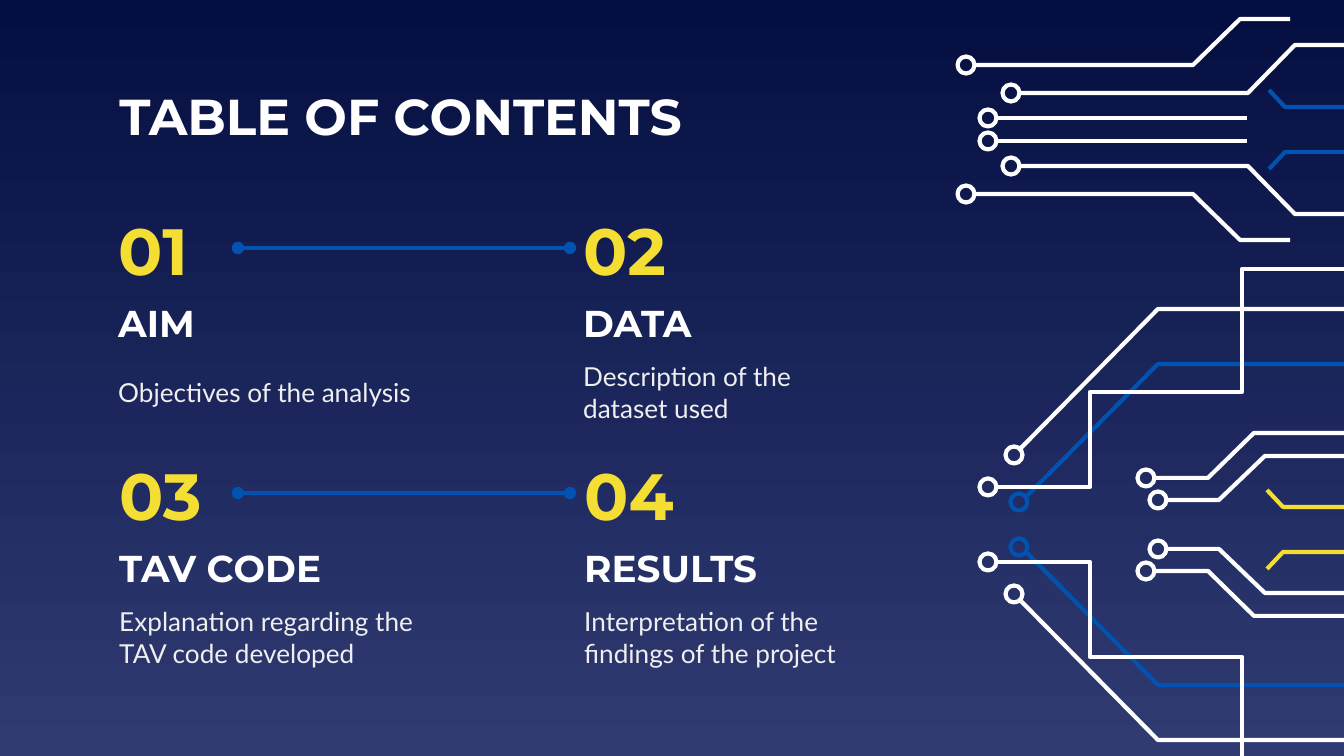
"""Build a table of contents slide with mirrored circuit traces."""
from lxml import etree
from pptx import Presentation
from pptx.dml.color import RGBColor
from pptx.enum.shapes import MSO_CONNECTOR, MSO_SHAPE
from pptx.enum.text import MSO_ANCHOR, MSO_AUTO_SIZE, PP_ALIGN
from pptx.oxml.ns import qn
from pptx.util import Pt

STRAIGHT, OVAL = MSO_CONNECTOR.STRAIGHT, MSO_SHAPE.OVAL
MIDDLE, LEFT, NO_FIT = MSO_ANCHOR.MIDDLE, PP_ALIGN.LEFT, MSO_AUTO_SIZE.NONE
WHITE = RGBColor(0xFF, 0xFF, 0xFF)
PALE = RGBColor(0xEF, 0xEF, 0xEF)
YELLOW = RGBColor(0xF5, 0xDE, 0x34)
BLUE = RGBColor(0x01, 0x52, 0xB1)
NAVY = RGBColor(0x04, 0x0E, 0x41)
INDIGO = RGBColor(0x30, 0x3B, 0x72)

PX = 914400 / 134.4
WIDTH, HEIGHT = 1344, 756
RING = 17
STROKE = Pt(2.25)

TITLE = "TABLE OF CONTENTS"
SECTIONS = [
    ("01", "AIM", "Objectives of the analysis"),
    ("02", "DATA", "Description of the dataset used"),
    ("03", "TAV CODE", "Explanation regarding the TAV code developed"),
    ("04", "RESULTS", "Interpretation of the findings of the project"),
]
TITLE_FORMAT = dict(name="Montserrat", size=Pt(27), bold=True, color=WHITE)
PARTS = [
    (0, 133, 78, dict(name="Montserrat", size=Pt(35), bold=True, color=YELLOW)),
    (78, 324, 70, dict(name="Montserrat", size=Pt(20), bold=True, color=WHITE)),
    (143, 324, 78, dict(name="Lato", size=Pt(14), bold=False, color=PALE)),
]
GRID_X, GRID_Y, COLUMN, ROW = 105, 210, 465, 245

# Each circuit: sum of mirrored y values, then (colour, ring centre, trace points).
CIRCUITS = [
    (1049, [
        (BLUE, (1019, 502), [(1025, 498), (1158, 364), (WIDTH, 364)]),
        (WHITE, (988, 487), [(996, 487), (1090, 487), (1090, 392),
                             (1242, 392), (1242, 269), (WIDTH, 269)]),
        (WHITE, (1014, 455), [(1019, 450), (1158, 309), (WIDTH, 309)]),
        (WHITE, (1146, 478), [(1154, 478), (1208, 478), (1254, 433), (WIDTH, 433)]),
        (WHITE, (1158, 500), [(1166, 500), (1219, 500), (1265, 456), (WIDTH, 456)]),
    ]),
    (1059, [(YELLOW, None, [(1267, 490), (1283, 507), (WIDTH, 507)])]),
    (259, [
        (WHITE, (966, 65), [(973, 65), (1193, 65), (1240, 19), (1290, 19)]),
        (WHITE, (1011, 93), [(1019, 93), (1248, 93), (1295, 45), (WIDTH, 45)]),
        (WHITE, (988, 118), [(996, 118), (1247, 118)]),
        (BLUE, None, [(1269, 90), (1285, 107), (WIDTH, 107)]),
    ]),
]


def px(*values):
    return [round(v * PX) for v in values]


def write(shape, text, font_format):
    tf = shape.text_frame
    frame = dict(word_wrap=True, auto_size=NO_FIT, vertical_anchor=MIDDLE)
    frame.update({"margin_" + side: px(13.44)[0]
                  for side in ("left", "right", "top", "bottom")})
    for key, value in frame.items():
        setattr(tf, key, value)
    p = tf.paragraphs[0]
    p.alignment = LEFT
    r = p.add_run()
    r.text = text
    for key, value in font_format.items():
        if key == "color":
            r.font.color.rgb = value
        else:
            setattr(r.font, key, value)


def outline(shape, color):
    shape.shadow.inherit = False
    shape.fill.background()
    shape.line.color.rgb = color
    shape.line.width = STROKE


def mirror(points, total):
    flipped = []
    for x, y in points:
        flipped.append((x, min(total - y, HEIGHT)))
        if total - y > HEIGHT:
            break
    return flipped


def add_trace(shapes, color, ring, points):
    builder = shapes.build_freeform(*points[0], scale=PX)
    builder.add_line_segments(points[1:], close=False)
    outline(builder.convert_to_shape(), color)
    if ring:
        x, y = ring
        box = px(x - RING / 2, y - RING / 2, RING, RING)
        outline(shapes.add_shape(OVAL, *box), color)


def add_link(shapes, x1, x2, y):
    link = shapes.add_connector(STRAIGHT, *px(x1, y, x2, y))
    link.line.color.rgb = BLUE
    link.line.width = STROKE
    ln = link.line._get_or_add_ln()
    for end in ("a:headEnd", "a:tailEnd"):
        etree.SubElement(ln, qn(end), type="oval")
    etree.SubElement(link._element.spPr, qn("a:effectLst"))


prs = Presentation()
prs.slide_width, prs.slide_height = px(WIDTH, HEIGHT)
s = prs.slides.add_slide(prs.slide_layouts[5])

fill = s.background.fill
fill.gradient()
fill.gradient_angle = 270
for stop, color in zip(fill.gradient_stops, (NAVY, INDIGO)):
    stop.color.rgb = color

title = s.shapes.title
title.left, title.top, title.width, title.height = px(106, 80, 789, 70)
write(title, TITLE, TITLE_FORMAT)

for i, texts in enumerate(SECTIONS):
    row, column = divmod(i, 2)
    left, top = GRID_X + column * COLUMN + row, GRID_Y + row * ROW
    for text, (dy, width, height, font_format) in zip(texts, PARTS):
        box = s.shapes.add_textbox(*px(left, top + dy, width, height))
        write(box, text, font_format)
    if column == 0:
        add_link(s.shapes, GRID_X + 133, GRID_X + COLUMN, top + 38)

for total, traces in CIRCUITS:
    circuit = s.shapes.add_group_shape().shapes
    for color, ring, points in traces:
        add_trace(circuit, color, ring, points)
        flipped_ring = mirror([ring], total)[0] if ring else None
        add_trace(circuit, color, flipped_ring, mirror(points, total))

prs.save("out.pptx")
